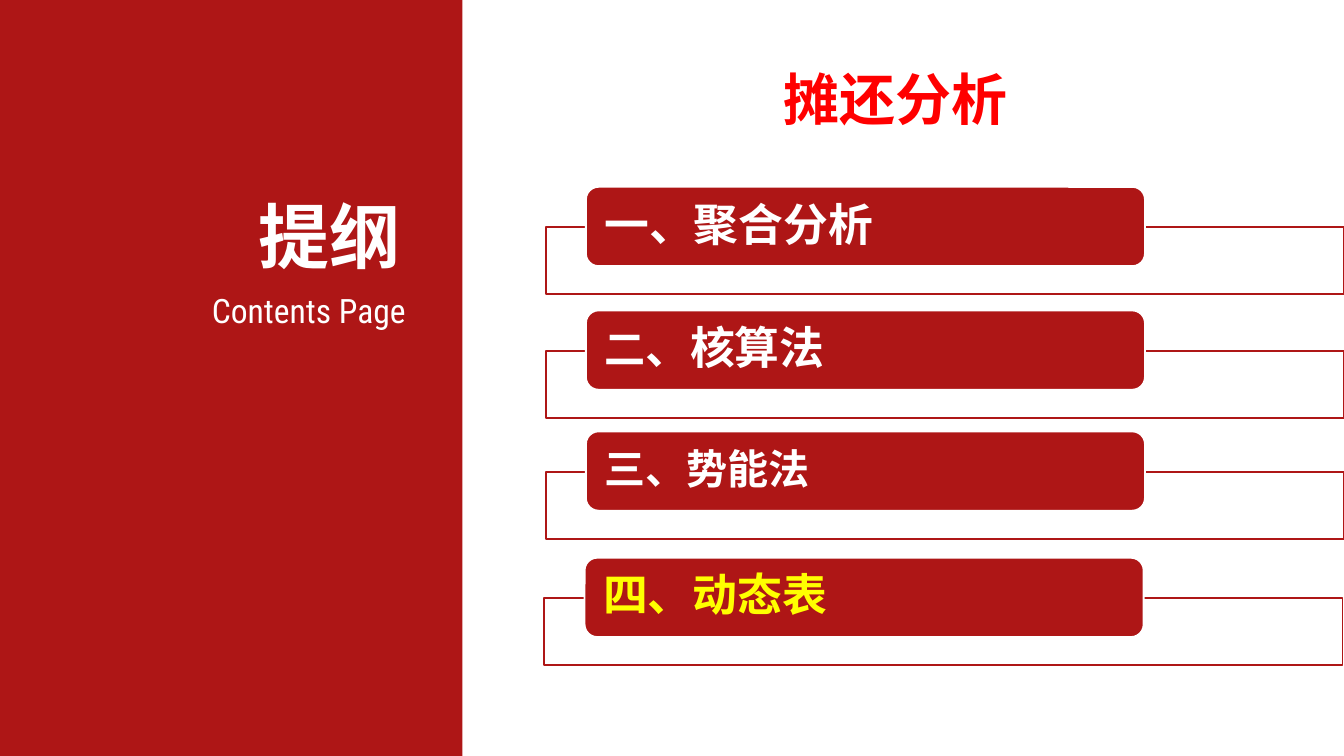
from dataclasses import dataclass

from lxml import etree
from pptx import Presentation
from pptx import util as u
from pptx.dml.color import RGBColor
from pptx.enum import shapes, text
from pptx.oxml.ns import qn

COLORS = {"red": "AE1616", "title": "FF0000", "white": "FFFFFF", "current": "FFFF00"}
CJK_FONT = "Noto Sans CJK SC"
SLIDE_WIDTH = 10
SLIDE_HEIGHT = SLIDE_WIDTH * 9 / 16


@dataclass(frozen=True)
class Run:
    words: str
    size: float
    font: str
    color: str = "white"
    bold: bool = True


@dataclass(frozen=True)
class Chapter:
    top: float
    runs: tuple[Run, ...]
    left: float = 4.06


CHAPTERS = (
    Chapter(1.39, (Run("一、聚合分析", 24, "Karla"),)),
    Chapter(2.31, (Run("二", 22, CJK_FONT), Run("、核算法", 24, CJK_FONT))),
    Chapter(3.21, (Run("三、势能法", 22, CJK_FONT),)),
    Chapter(4.15, (Run("四、动态表", 24, "Karla", "current"),), left=4.05),
)


def rgb(name: str) -> RGBColor:
    return RGBColor.from_string(COLORS[name])


def apply(target, values: dict) -> None:
    for name, value in values.items():
        setattr(target, name, value)


def inset(horizontal: float, vertical: float) -> dict:
    return {
        "margin_left": u.Inches(horizontal),
        "margin_right": u.Inches(horizontal),
        "margin_top": u.Inches(vertical),
        "margin_bottom": u.Inches(vertical),
    }


def write(shape, runs: tuple[Run, ...], frame: dict, paragraph: dict) -> None:
    body = shape.text_frame
    apply(body, {"word_wrap": True, "auto_size": text.MSO_AUTO_SIZE.NONE, **frame})
    line = body.paragraphs[0]
    apply(line, paragraph)
    for item in runs:
        piece = line.add_run()
        piece.text = item.words
        apply(piece.font, {"size": u.Pt(item.size), "name": item.font, "bold": item.bold})
        piece.font.color.rgb = rgb(item.color)
        east_asian = etree.Element(qn("a:ea"), typeface=CJK_FONT)
        piece.font._element.find(qn("a:latin")).addnext(east_asian)


def block(slide, kind, box: tuple, fill: str, line: str | None = None):
    shape = slide.shapes.add_shape(kind, *map(u.Inches, box))
    shape.shadow.inherit = False
    shape.fill.solid()
    shape.fill.fore_color.rgb = rgb(fill)
    if line:
        shape.line.color.rgb = rgb(line)
        shape.line.width = u.Pt(1)
    else:
        shape.line.fill.background()
    return shape


def label(slide, box: tuple, run: Run) -> None:
    caption = slide.shapes.add_textbox(*map(u.Inches, box))
    write(caption, (run,), inset(0.07, 0.04), {"alignment": text.PP_ALIGN.RIGHT})


def draw_chapter(slide, chapter: Chapter) -> None:
    outline = block(slide, shapes.MSO_SHAPE.RECTANGLE,
                    (chapter.left, chapter.top + 0.3, 5.94, 0.5), "white", "red")
    tint = outline.fill._xPr.find(qn("a:solidFill"))[0]
    etree.SubElement(tint, qn("a:alpha"), val="90000")
    banner = block(slide, shapes.MSO_SHAPE.ROUNDED_RECTANGLE,
                   (chapter.left + 0.3, chapter.top, 4.16, 0.59), "red", "white")
    banner.adjustments[0] = 0.16
    write(banner, chapter.runs,
          {"vertical_anchor": text.MSO_ANCHOR.MIDDLE, **inset(0.11, 0.02)},
          {"alignment": text.PP_ALIGN.LEFT, "line_spacing": 0.9})


def main() -> None:
    deck = Presentation()
    apply(deck, {"slide_width": u.Inches(SLIDE_WIDTH),
                 "slide_height": u.Inches(SLIDE_HEIGHT)})
    slide = deck.slides.add_slide(deck.slide_layouts[5])

    block(slide, shapes.MSO_SHAPE.RECTANGLE, (0, 0, 3.44, SLIDE_HEIGHT), "red")
    label(slide, (0.34, 2.12, 2.75, 0.38),
          Run("Contents Page", 18, "Roboto Condensed", bold=False))
    label(slide, (1.1, 1.39, 1.95, 0.72), Run("提纲", 38, "Arial"))

    topic = slide.shapes.title
    apply(topic, {"left": u.Inches(3.44), "top": u.Inches(0),
                  "width": u.Inches(6.45), "height": u.Inches(1.21)})
    write(topic, (Run("摊还分析", 30, "Arial", "title"),),
          {"vertical_anchor": text.MSO_ANCHOR.MIDDLE, **inset(0.1, 0.05)},
          {"alignment": text.PP_ALIGN.CENTER, "line_spacing": 1.5})

    for chapter in CHAPTERS:
        draw_chapter(slide, chapter)
    deck.save("out.pptx")


if __name__ == "__main__":
    main()
